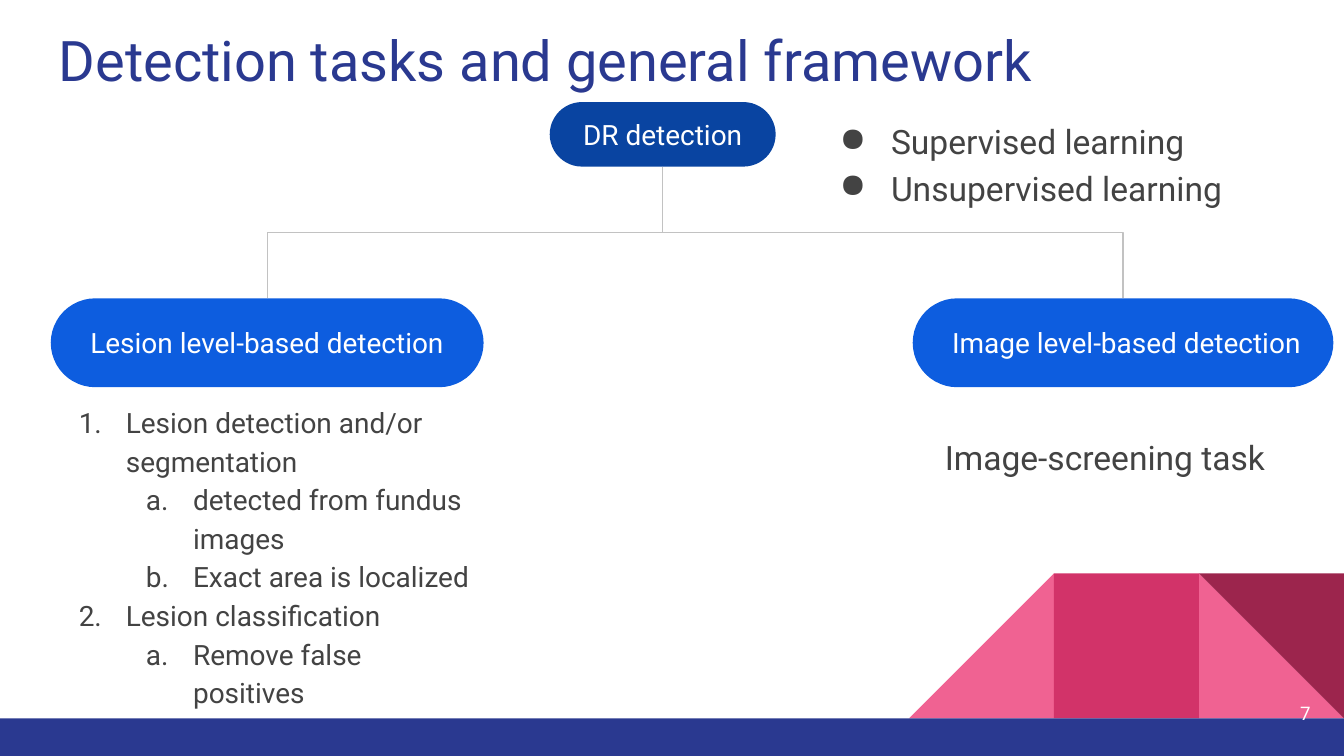
import pptx
import pptx.util
import pptx.dml.color
import pptx.enum.shapes
import pptx.enum.text
import pptx.oxml.ns
import lxml.etree

Cm, Pt = pptx.util.Cm, pptx.util.Pt
KIND = pptx.enum.shapes.MSO_SHAPE
ALIGN = pptx.enum.text.PP_ALIGN
MID = pptx.enum.text.MSO_ANCHOR.MIDDLE
qn = pptx.oxml.ns.qn

# Content: boxes are left, top, width, height in cm
HUE = {"navy": "2A3990", "root": "0944A1", "leaf": "0D5DDF", "line": "C2C2C2",
       "text": "434343", "white": "FFFFFF", "pink": "F06292", "rose": "D23369",
       "wine": "9C254D"}
WIDE, HIGH = 25.4, 14.29
TILE, BAND = 2.74, 13.58

TITLE = "Detection tasks and general framework"
ROOT = ("DR detection", (10.39, 1.93, 4.27, 1.22), "root")
LEFT = ("Lesion level-based detection", (0.96, 5.64, 8.18, 1.68), "leaf")
RIGHT = (" Image level-based detection", (17.25, 5.64, 7.95, 1.68), "leaf")
STEPS = [(0, "Lesion detection and/or segmentation"),
         (1, "detected from fundus images"),
         (1, "Exact area is localized"),
         (0, "Lesion classification"),
         (1, "Remove false positives")]
MODES = [(0, "Supervised learning"), (0, "Unsupervised learning")]
TASK = " Image-screening task"
# Tiles: kind, column from the right edge, turn, flip, colour
TILES = [(KIND.RIGHT_TRIANGLE, 1, 0, False, "pink"),
         (KIND.RIGHT_TRIANGLE, 3, 0, True, "pink"),
         (KIND.RECTANGLE, 2, 0, False, "rose"),
         (KIND.RIGHT_TRIANGLE, 1, 180, False, "wine")]

deck = pptx.Presentation()
deck.slide_width, deck.slide_height = Cm(WIDE), Cm(HIGH)
page = deck.slides.add_slide(deck.slide_layouts[6]).shapes


def tint(name):
    return pptx.dml.color.RGBColor.from_string(HUE[name])


def block(kind, box, hue):
    part = page.add_shape(kind, *map(Cm, box))
    part.shadow.inherit = False
    part.fill.solid()
    part.fill.fore_color.rgb = tint(hue)
    part.line.fill.background()
    return part


def mark(para, level, hang, marks):
    """Give a paragraph its indent and its bullet or number."""
    para.level = level
    props = para._p.get_or_add_pPr()
    props.set("marL", str(Cm(1.27 * (level + 1))))
    props.set("indent", str(-Cm(hang)))
    color = lxml.etree.SubElement(props, qn("a:buClr"))
    lxml.etree.SubElement(color, qn("a:srgbClr"), val=HUE["text"])
    tag, key, value = marks[level]
    lxml.etree.SubElement(props, qn(tag), {key: value})


def write(part, text, size=15, hue="text", align=ALIGN.LEFT, anchor=None,
          space=1, after=0, hang=0, marks=None):
    """Fill a shape with a string, or with a list of (level, string)."""
    frame = part.text_frame
    frame.word_wrap = True
    frame.vertical_anchor = anchor or pptx.enum.text.MSO_ANCHOR.TOP
    frame.margin_left = frame.margin_right = Cm(0.25)
    frame.margin_top = frame.margin_bottom = Cm(0.25)
    rows = [(0, text)] if isinstance(text, str) else text
    for i, (level, words) in enumerate(rows):
        para = frame.add_paragraph() if i else frame.paragraphs[0]
        if marks:
            mark(para, level, hang, marks)
        para.alignment = align
        para.line_spacing = space
        para.space_after = Pt(after)
        run = para.add_run()
        run.text = words
        run.font.name, run.font.size = "Roboto", Pt(size)
        run.font.color.rgb = tint(hue)


def note(box, text, **form):
    write(page.add_textbox(*map(Cm, box)), text, **form)


def pill(text, box, hue):
    part = block(KIND.ROUNDED_RECTANGLE, box, hue)
    part.adjustments[0] = 0.5
    write(part, text, hue="white", align=ALIGN.CENTER, anchor=MID)
    return part


def link(first, start, last, end):
    """Join two pills, left to right, with a vertical-first elbow."""
    line = page.add_connector(pptx.enum.shapes.MSO_CONNECTOR.ELBOW, 0, 0, 0, 0)
    line.begin_connect(first, start)
    line.end_connect(last, end)
    x, y = line.begin_x, line.begin_y
    dx, dy = line.end_x - x, line.end_y - y
    frame = line.element.spPr.find(qn("a:xfrm"))
    frame.attrib.clear()
    frame.set("rot", str(270 * 60000))
    if dy > 0:
        frame.set("flipH", "1")
    line.width, line.height = abs(dy), dx
    line.left = x + (dx - abs(dy)) // 2
    line.top = y + (dy - dx) // 2
    line.line.color.rgb = tint("line")
    line.line.width = Pt(0.75)
    lxml.etree.SubElement(line.element.spPr, qn("a:effectLst"))


# Corner tiles and bottom band
for kind, col, turn, flip, hue in TILES:
    tile = block(kind, (WIDE - col * TILE, BAND - TILE, TILE, TILE), hue)
    tile.rotation = turn
    if flip:
        tile.element.spPr.find(qn("a:xfrm")).set("flipH", "1")
block(KIND.RECTANGLE, (0, BAND, WIDE, HIGH - BAND), "navy")

# Title and tree
note((0.86, 0.23, 23.67, 1.68), TITLE, size=30, hue="navy")
root, right, left = pill(*ROOT), pill(*RIGHT), pill(*LEFT)
link(root, 2, right, 0)
link(left, 0, root, 2)

# Lists and notes
note((0.86, 7.32, 8.36, 6.55), STEPS, space=1.15, hang=0.89,
     marks=[("a:buAutoNum", "type", "arabicPeriod"),
            ("a:buAutoNum", "type", "alphaLcPeriod")])
note((17.45, 7.9, 7.49, 1.68), TASK, size=18, space=1.15, after=16)
note((15.32, 1.93, 9.6, 1.98), MODES, size=18, space=1.15, hang=0.97,
     marks=[("a:buChar", "char", "●")])
note((23.5, 12.93, 1.52, 1.09), "7", size=10, hue="white",
     align=ALIGN.RIGHT, anchor=MID)

deck.save("out.pptx")
